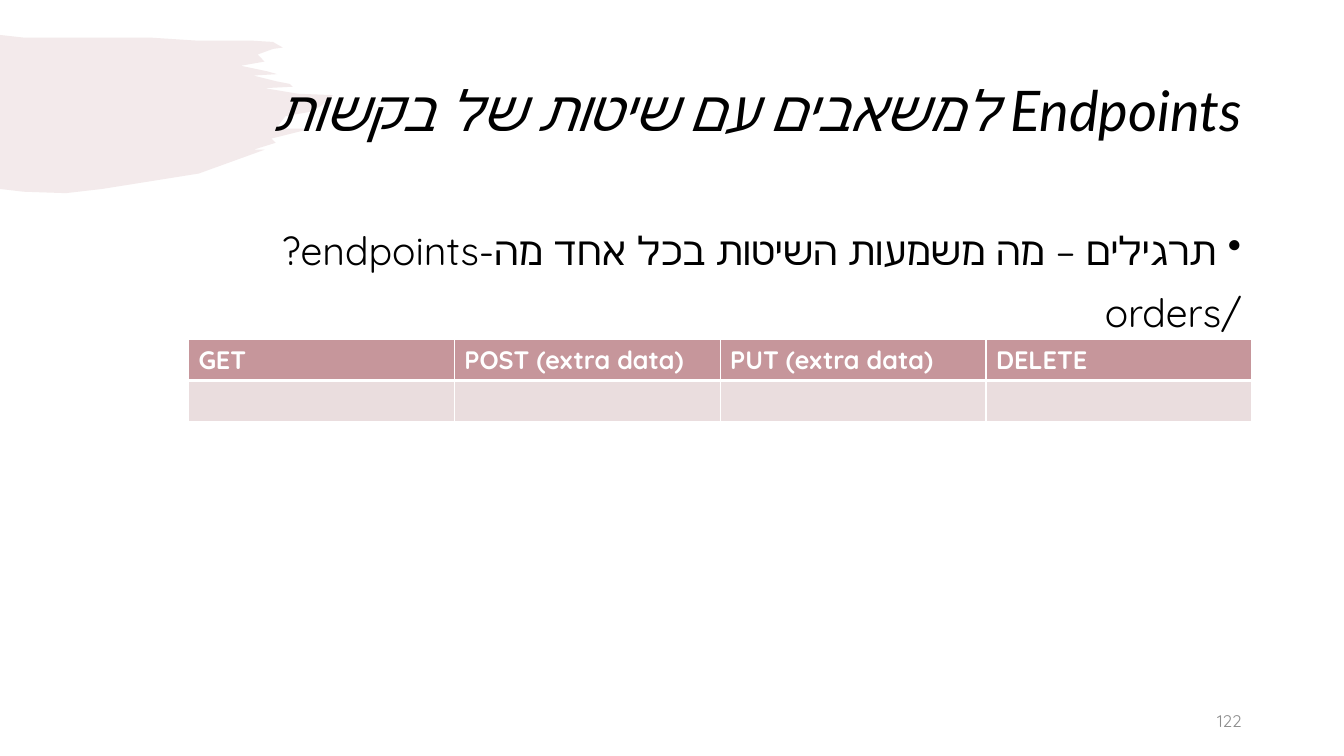
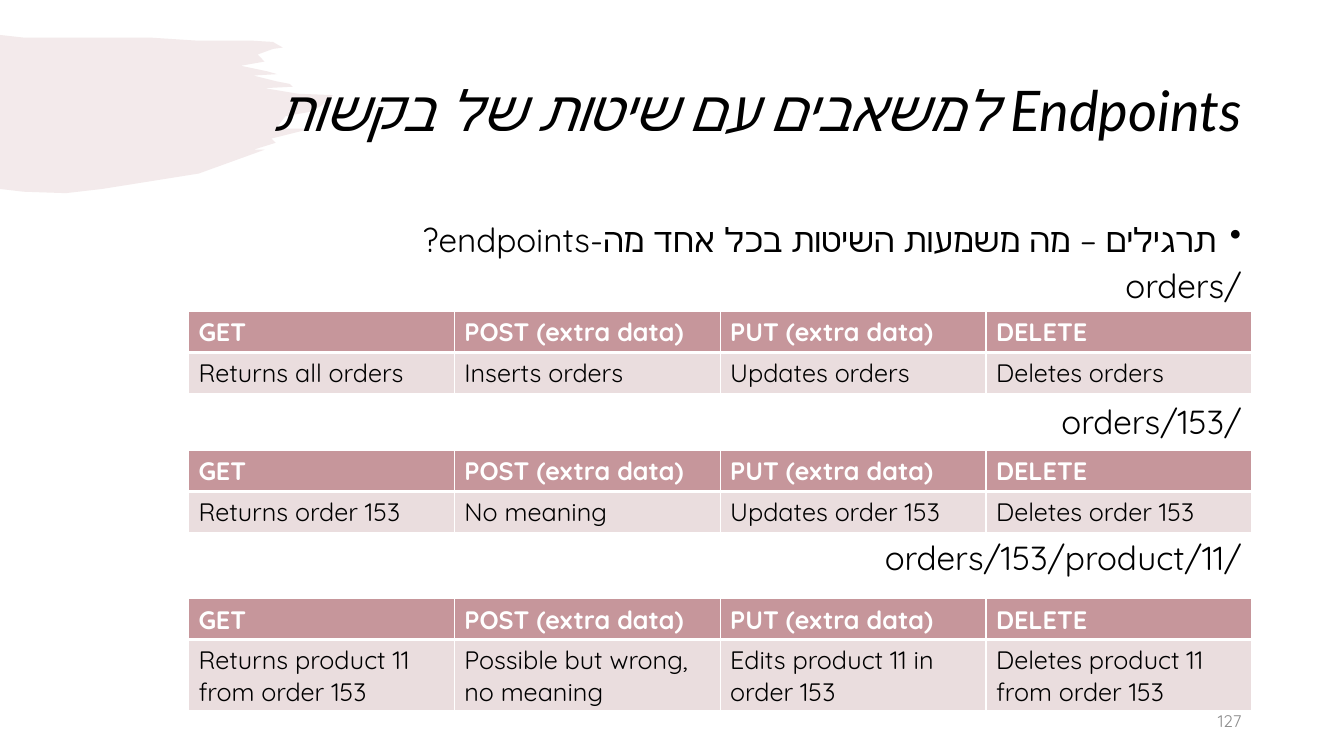
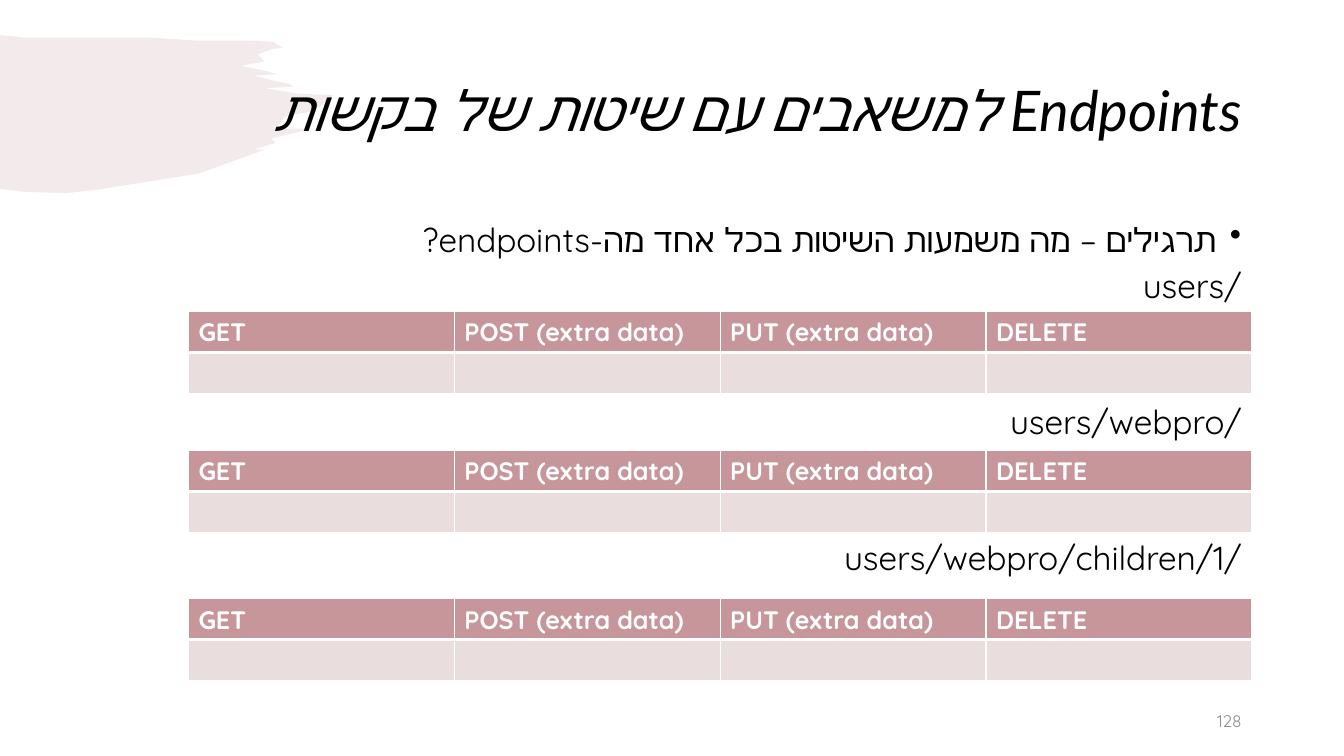
from lxml.etree import SubElement
from pptx import Presentation
from pptx.dml.color import RGBColor
from pptx.enum.text import MSO_ANCHOR as Anchor, PP_ALIGN as Align
from pptx.oxml import parse_xml
from pptx.oxml.ns import nsdecls, qn
from pptx.util import Pt

COLORS = {
    "ink": "000000",
    "paper": "FFFFFF",
    "rose": "C6969B",
    "blush": "EADDDE",
    "number": "8C8C8C",
}
TITLE = "Endpoints למשאבים עם שיטות של בקשות"
QUESTION = "תרגילים – מה משמעות השיטות בכל אחד מה-endpoints?"
METHODS = ["GET", "POST (extra data)", "PUT (extra data)", "DELETE"]
UNANSWERED = [""] * len(METHODS)
TABLE_LEFT, COLUMN_WIDTH, ROW_HEIGHT = 134.6, 189.9, 29.2
THREE_TOPS = [222.5, 321.8, 427.7]
BRUSH_EDGE = [
    (0, 25), (18, 27), (48, 27), (73, 27), (109, 27), (140, 29), (179, 29), (195, 30),
    (202, 34), (195, 35), (184, 39), (189, 44), (172, 47), (191, 51), (198, 53),
    (181, 54), (197, 58), (207, 60), (209, 62), (189, 63), (213, 67), (238, 68),
    (229, 76), (221, 80), (204, 83), (197, 92), (222, 92), (194, 99), (197, 102),
    (181, 107), (189, 107), (142, 124), (73, 135), (47, 138), (17, 137), (0, 135),
]

SLIDES = [
    {
        "number": "122", "size": 28, "line_spacing": 1.0,
        "endpoints": [("/orders", 242.6, UNANSWERED)],
    },
    {
        "number": "127", "size": 23.8, "line_spacing": 0.8,
        "endpoints": list(zip(
            ["/orders", "/orders/153", "/orders/153/product/11"],
            THREE_TOPS,
            [
                ["Returns all orders", "Inserts orders", "Updates orders", "Deletes orders"],
                ["Returns order 153", "No meaning", "Updates order 153", "Deletes order 153"],
                ["Returns product 11 from order 153", "Possible but wrong, no meaning",
                 "Edits product 11 in order 153", "Deletes product 11 from order 153"],
            ],
        )),
    },
    {
        "number": "128", "size": 23.8, "line_spacing": 0.8,
        "endpoints": list(zip(
            ["/users", "/users/webpro", "/users/webpro/children/1"],
            THREE_TOPS,
            [UNANSWERED] * 3,
        )),
    },
]


def write(paragraph, text, size=18, color="ink", font="Quicksand", bold=False, italic=False,
          align=Align.LEFT, rtl=False, bullet=False, line_spacing=1.0, before=0):
    properties = paragraph._p.get_or_add_pPr()
    if rtl:
        properties.set("rtl", "1")
    if bullet:
        properties.set("marL", str(Pt(18)))
        properties.set("indent", str(-Pt(18)))
        SubElement(properties, qn("a:buChar")).set("char", "•")
    paragraph.alignment = align
    paragraph.line_spacing = line_spacing
    paragraph.space_before = Pt(before)
    run = paragraph.add_run()
    run.text = text
    run.font.size = Pt(size)
    run.font.bold = bold
    run.font.italic = italic
    run.font.color.rgb = RGBColor.from_string(COLORS[color])
    run.font.name = font
    SubElement(run.font._element, qn("a:cs")).set("typeface", font)


def add_frame(slide, left, top, width, height, anchor=Anchor.TOP):
    frame = slide.shapes.add_textbox(Pt(left), Pt(top), Pt(width), Pt(height)).text_frame
    frame.word_wrap = True
    frame.vertical_anchor = anchor
    return frame


deck = Presentation()
deck.slide_width, deck.slide_height = Pt(960), Pt(540)

for content in SLIDES:
    slide = deck.slides.add_slide(deck.slide_layouts[6])

    outline = slide.shapes.build_freeform(*BRUSH_EDGE[0], scale=Pt(1))
    outline.add_line_segments(BRUSH_EDGE[1:], close=True)
    brush = outline.convert_to_shape()
    brush.shadow.inherit = False
    brush.line.fill.background()
    brush.fill.solid()
    brush.fill.fore_color.rgb = RGBColor.from_string(COLORS["rose"])
    tint = brush._element.spPr.find(qn("a:solidFill"))[0]
    SubElement(tint, qn("a:alpha")).set("val", "20000")

    title = add_frame(slide, 66, 28.8, 828, 104.4, Anchor.MIDDLE)
    write(title.paragraphs[0], TITLE, size=40, font="Lato", italic=True,
          align=Align.RIGHT, rtl=True, line_spacing=0.9)

    exercise = add_frame(slide, 66, 158.4, 828, 327.6)
    body_style = {"size": content["size"], "line_spacing": content["line_spacing"],
                  "align": Align.RIGHT, "rtl": True}
    write(exercise.paragraphs[0], QUESTION, bullet=True, **body_style)

    for position, (endpoint, top, meanings) in enumerate(content["endpoints"]):
        write(exercise.add_paragraph(), endpoint, before=74.5 if position else 10, **body_style)

        grid = slide.shapes.add_table(
            2, len(METHODS), Pt(TABLE_LEFT), Pt(top),
            Pt(COLUMN_WIDTH * len(METHODS)), Pt(ROW_HEIGHT * 2)).table
        for row, texts in enumerate([METHODS, meanings]):
            is_header = row == 0
            edges = {"lnL": 1, "lnR": 1, "lnT": 1 if is_header else 3, "lnB": 3 if is_header else 1}
            for column, text in enumerate(texts):
                cell = grid.cell(row, column)
                cell.fill.solid()
                cell.fill.fore_color.rgb = RGBColor.from_string(
                    COLORS["rose" if is_header else "blush"])
                for order, (edge, weight) in enumerate(edges.items()):
                    cell._tc.tcPr.insert(order, parse_xml(
                        f'<a:{edge} {nsdecls("a")} w="{Pt(weight)}"><a:solidFill>'
                        f'<a:srgbClr val="{COLORS["paper"]}"/></a:solidFill></a:{edge}>'))
                if text:
                    write(cell.text_frame.paragraphs[0], text, bold=is_header,
                          color="paper" if is_header else "ink")

    number = add_frame(slide, 678, 500.5, 216, 28.8, Anchor.MIDDLE)
    write(number.paragraphs[0], content["number"], size=12, color="number", align=Align.RIGHT)

deck.save("out.pptx")
